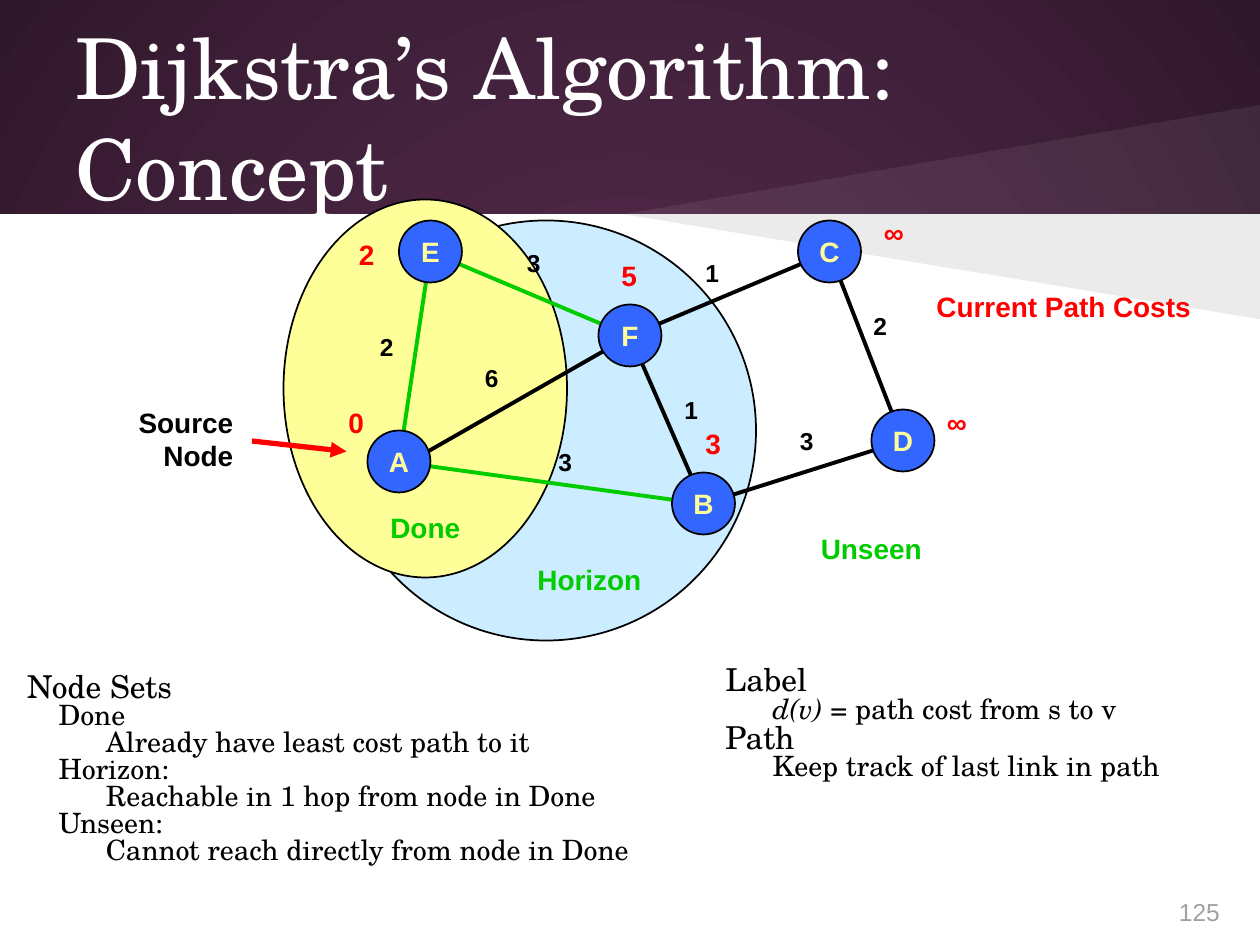
from lxml import etree
from pptx import Presentation
from pptx import util as u
from pptx.dml.color import RGBColor
from pptx.enum import shapes, text
from pptx.oxml.ns import qn

PX = 7620
SERIF, SANS = "TeX Gyre Schola", "Arial"
BLACK, WHITE, RED, GREEN = "000000", "FFFFFF", "FF0000", "00CC00"


def px(*vals):
    return [u.Emu(v * PX) for v in vals]


def tint(item, color):
    item.rgb = RGBColor.from_string(color)


def put(item, vals):
    for key, val in vals.items():
        setattr(item, key, val)


def paint(shape, fill, line=None, alpha=None):
    shape.shadow.inherit = False
    shape.fill.solid()
    tint(shape.fill.fore_color, fill)
    if alpha:
        clr = shape.fill._xPr.find(".//" + qn("a:srgbClr"))
        etree.SubElement(clr, qn("a:alpha")).set("val", str(alpha * 1000))
    if line:
        tint(shape.line.color, line)
        shape.line.width = u.Pt(1)
    else:
        shape.line.fill.background()


def write(para, words, size, font, color, **style):
    run = para.add_run()
    run.text = words
    put(run.font, dict(size=u.Pt(size), name=font, **style))
    tint(run.font.color, color)


def frame(slide, box, inset=None, **vals):
    tf = slide.shapes.add_textbox(*px(*box)).text_frame
    put(tf, dict(word_wrap=True, **vals))
    if inset:
        for side in ("left", "top", "right", "bottom"):
            setattr(tf, "margin_" + side, px(inset)[0])
    return tf


def label(slide, box, words, size, color, align=text.PP_ALIGN.LEFT):
    tf = frame(slide, box, auto_size=text.MSO_AUTO_SIZE.SHAPE_TO_FIT_TEXT)
    tf.word_wrap = False
    for i, line in enumerate(words.split("\n")):
        para = tf.add_paragraph() if i else tf.paragraphs[0]
        para.alignment = align
        write(para, line, size, SANS, color, bold=True)


def link(slide, start, end, color, width):
    line = slide.shapes.add_connector(
        shapes.MSO_CONNECTOR.STRAIGHT, *px(*start, *end))
    tint(line.line.color, color)
    line.line.width = u.Pt(width)
    etree.SubElement(line._element.spPr, qn("a:effectLst"))
    return line


def oval(slide, box, fill):
    shape = slide.shapes.add_shape(shapes.MSO_SHAPE.OVAL, *px(*box))
    paint(shape, fill, BLACK)
    return shape


def theme(slide, box):
    fill = slide.background.fill
    fill.gradient()
    for stop, color in zip(fill.gradient_stops, ("592D50", "30182B")):
        tint(stop.color, color)
    grad = slide.element.find(".//" + qn("a:gradFill"))
    grad.remove(grad.find(qn("a:lin")))
    ring = etree.SubElement(grad, qn("a:path"))
    ring.set("path", "circle")
    mid = etree.SubElement(ring, qn("a:fillToRect"))
    for side in "ltrb":
        mid.set(side, "50000")

    x, y, w, h = box
    sheet = slide.shapes.add_shape(shapes.MSO_SHAPE.RECTANGLE, *px(*box))
    paint(sheet, WHITE)
    for rise, color, alpha in ((-104, WHITE, 7), (100, BLACK, 8)):
        ray = slide.shapes.build_freeform(x + 594, y, PX)
        ray.add_line_segments([(x + w, y), (x + w, y + rise)])
        paint(ray.convert_to_shape(), color, alpha=alpha)


def title(slide, box):
    tf = frame(slide, box, 12, vertical_anchor=text.MSO_ANCHOR.MIDDLE)
    write(tf.paragraphs[0], "Dijkstra’s Algorithm: Concept", 48, SERIF, WHITE)


def notes(slide, box, rows):
    tf = frame(slide, box, 12)
    for i, (left, runs) in enumerate(rows):
        para = tf.add_paragraph() if i else tf.paragraphs[0]
        para._p.get_or_add_pPr().set("marL", str(left * PX))
        para.line_spacing = 0.8
        for words, slant in runs:
            write(para, words, 16 if left else 18, SERIF, BLACK, italic=slant)


def graph(slide, x, y):
    def at(dx, dy, *size):
        return (x + dx, y + dy, *size)

    oval(slide, at(200, 20, 400, 400), "CCECFF")
    oval(slide, at(150, 0, 270, 360), "FFFF99")

    nodes = {"A": (230, 220), "E": (260, 20), "F": (450, 100),
             "C": (640, 20), "D": (710, 200), "B": (520, 260)}
    edges = [("E", "A", GREEN, 0, "2", 230, 120),
             ("F", "E", GREEN, 0, "3", 370, 40),
             ("F", "C", BLACK, 0, "1", 540, 50),
             ("C", "D", BLACK, 0, "2", 700, 100),
             ("B", "D", BLACK, 0, "3", 630, 210),
             ("B", "F", BLACK, 0, "1", 520, 180),
             ("A", "F", BLACK, 10, "6", 330, 150),
             ("A", "B", GREEN, 0, "3", 400, 230)]

    def mid(name, shift=0):
        dx, dy = nodes[name]
        return at(dx + 30 + shift, dy + 30)

    for start, end, color, shift, *_ in edges:
        link(slide, mid(start, shift), mid(end), color, 2.25)
    for name, (dx, dy) in nodes.items():
        shape = oval(slide, at(dx, dy, 60, 59), "3366FF")
        put(shape.text_frame, dict(
            word_wrap=False, vertical_anchor=text.MSO_ANCHOR.MIDDLE))
        para = shape.text_frame.paragraphs[0]
        para.alignment = text.PP_ALIGN.CENTER
        write(para, name, 16, SANS, "FFFF99", bold=True)
    for *_, cost, dx, dy in edges:
        label(slide, at(dx, dy, 37, 40), cost, 14, BLACK)

    arrow = link(slide, at(120, 230), at(210, 240), RED, 3)
    tip = etree.SubElement(arrow.line._get_or_add_ln(), qn("a:tailEnd"))
    tip.set("type", "triangle")
    label(slide, at(0, 190, 114, 77), "Source\nNode", 16, BLACK,
          text.PP_ALIGN.RIGHT)

    for words, color, dx, dy, w in (
            ("Done", GREEN, 240, 290, 91),
            ("Horizon", GREEN, 380, 340, 124),
            ("Unseen", GREEN, 650, 310, 120),
            ("0", RED, 200, 190, 38),
            ("2", RED, 210, 30, 38),
            ("5", RED, 460, 50, 38),
            ("3", RED, 540, 210, 38),
            ("∞", RED, 710, 9, 43),
            ("∞", RED, 770, 190, 43),
            ("Current Path Costs", RED, 760, 80, 268)):
        label(slide, at(dx, dy, w, 44), words, 16, color)


def number(slide, box):
    write(frame(slide, box).paragraphs[0], "125", 14, SANS, "9EA0A2")


def main():
    deck = Presentation()
    deck.slide_width, deck.slide_height = px(1200, 900)
    slide = deck.slides.add_slide(deck.slide_layouts[6])
    theme(slide, (0, 204, 1200, 696))
    title(slide, (60, 36, 1080, 150))
    sets = [(0, "Node Sets"),
            (30, "Done"), (75, "Already have least cost path to it"),
            (30, "Horizon:"), (75, "Reachable in 1 hop from node in Done"),
            (30, "Unseen:"), (75, "Cannot reach directly from node in Done")]
    notes(slide, (14, 630, 640, 230),
          [(left, [(words, False)]) for left, words in sets])
    number(slide, (1111, 848, 89, 36))
    notes(slide, (679, 624, 546, 250), [
        (0, [("Label", False)]),
        (45, [("d(v)", True), (" = path cost from s to v", False)]),
        (0, [("Path", False)]),
        (45, [("Keep track of last link in path", False)])])
    graph(slide, 120, 190)
    deck.save("out.pptx")


if __name__ == "__main__":
    main()
